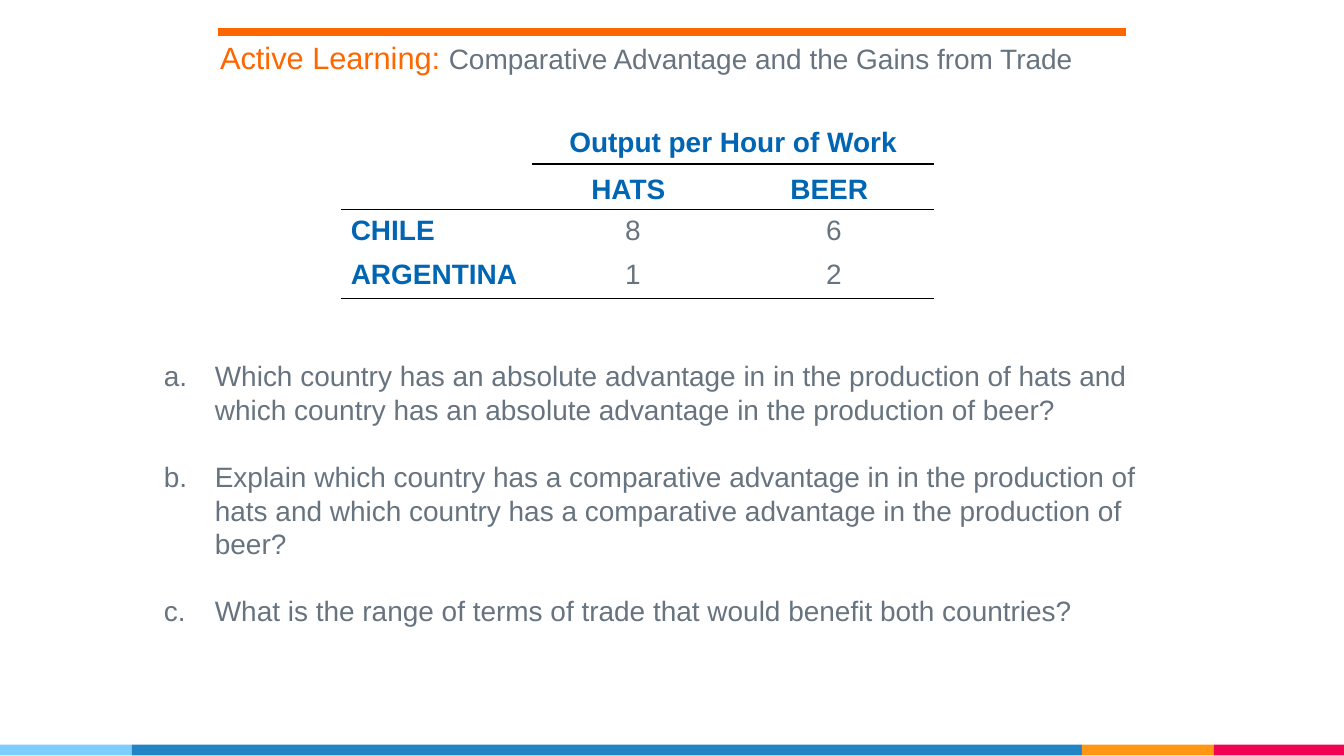
from lxml import etree
from pptx import Presentation
from pptx.dml.color import RGBColor
from pptx.enum import shapes, text
from pptx.oxml import ns, parse_xml
from pptx.util import Inches, Pt

COLORS = {
    "orange": "FF6600", "gray": "677480", "blue": "0066B3", "black": "000000",
    "sky": "7ECEFD", "ocean": "2185C5", "amber": "FF9715", "pink": "F20253",
}


def add_text(paragraph, content, size=15, color="gray", bold=False, align=text.PP_ALIGN.LEFT):
    paragraph.alignment = align
    run = paragraph.add_run()
    run.text = content
    run.font.name = "Arial"
    run.font.size = Pt(size)
    run.font.bold = bold
    run.font.color.rgb = RGBColor.from_string(COLORS[color])


def add_bottom_border(cell, width):
    border = parse_xml(
        f'<a:lnB {ns.nsdecls("a")} w="{Pt(width)}"><a:solidFill>'
        f'<a:srgbClr val="{COLORS["black"]}"/></a:solidFill></a:lnB>'
    )
    cell._tc.get_or_add_tcPr().insert(0, border)


presentation = Presentation()
presentation.slide_width = Inches(10)
presentation.slide_height = Inches(10) * 9 // 16
slide = presentation.slides.add_slide(presentation.slide_layouts[6])

left = 0
for width, color in [(0.98, "sky"), (7.07, "ocean"), (0.98, "amber"), (0.97, "pink")]:
    strip = slide.shapes.add_shape(
        shapes.MSO_SHAPE.RECTANGLE, Inches(left), Inches(5.54), Inches(width), Inches(0.08)
    )
    strip.shadow.inherit = False
    strip.fill.solid()
    strip.fill.fore_color.rgb = RGBColor.from_string(COLORS[color])
    strip.line.fill.background()
    left += width

title = slide.shapes.add_textbox(Inches(1.54), Inches(0.24), Inches(6.84), Inches(0.79))
title.text_frame.word_wrap = True
heading = title.text_frame.paragraphs[0]
add_text(heading, "Active Learning: ", size=16.5, color="orange")
add_text(heading, "Comparative Advantage and the Gains from Trade")

rule = slide.shapes.add_connector(
    shapes.MSO_CONNECTOR.STRAIGHT, Inches(1.62), Inches(0.24), Inches(8.38), Inches(0.24)
)
rule.line.color.rgb = RGBColor.from_string(COLORS["orange"])
rule.line.width = Pt(4)
etree.SubElement(rule._element.spPr, ns.qn("a:effectLst"))

questions = [
    "Which country has an absolute advantage in in the production of hats and "
    "which country has an absolute advantage in the production of beer?",
    "Explain which country has a comparative advantage in in the production of "
    "hats and which country has a comparative advantage in the production of beer?",
    "What is the range of terms of trade that would benefit both countries?",
]
question_box = slide.shapes.add_textbox(Inches(1.12), Inches(2.62), Inches(7.81), Inches(2.12))
question_frame = question_box.text_frame
question_frame.word_wrap = True
for index, question in enumerate(questions):
    paragraph = question_frame.add_paragraph() if index else question_frame.paragraphs[0]
    add_text(paragraph, question)
    paragraph.line_spacing = Pt(18)
    paragraph.space_before = Pt(18 if index else 0)
    properties = paragraph._p.get_or_add_pPr()
    properties.set("marL", str(Inches(0.38)))
    properties.set("indent", str(Inches(-0.38)))
    etree.SubElement(properties, ns.qn("a:buFont"), typeface="+mj-lt")
    etree.SubElement(properties, ns.qn("a:buAutoNum"), type="alphaLcPeriod")

rows = [
    ["", "Output per Hour of Work", ""],
    ["", "HATS", "BEER"],
    ["CHILE", "8", "6"],
    ["ARGENTINA", "1", "2"],
]
column_widths = [1.42, 1.43, 1.56]
row_heights = [0.35, 0.34, 0.32, 0.32]
table = slide.shapes.add_table(
    len(rows), len(column_widths), Inches(2.54), Inches(0.87), Inches(4.41), Inches(1.33)
).table
table.first_row = False
table.horz_banding = False
table._tbl.tblPr.find(ns.qn("a:tableStyleId")).text = "{2D5ABB26-0587-4C30-8999-92F81FD0307C}"
for column, width in zip(table.columns, column_widths):
    column.width = Inches(width)
for row, height in zip(table.rows, row_heights):
    row.height = Inches(height)
table.cell(0, 1).merge(table.cell(0, 2))

for row_index, values in enumerate(rows):
    header = row_index < 2
    for column_index, value in enumerate(values):
        cell = table.cell(row_index, column_index)
        cell.fill.background()
        cell.margin_left = Inches(0.07)
        cell.margin_right = Inches(0.07 if header else 0)
        cell.margin_top = Inches(0.04)
        cell.margin_bottom = Inches(0 if header else 0.04)
        cell.vertical_anchor = text.MSO_ANCHOR.MIDDLE if header else text.MSO_ANCHOR.TOP
        if value:
            label = header or column_index == 0
            add_text(
                cell.text_frame.paragraphs[0], value,
                color="blue" if label else "gray", bold=label,
                align=text.PP_ALIGN.CENTER if column_index else text.PP_ALIGN.LEFT,
            )
        if row_index in (1, 3) or (row_index == 0 and column_index):
            add_bottom_border(cell, 1 if row_index else 0.75)

presentation.save("out.pptx")
